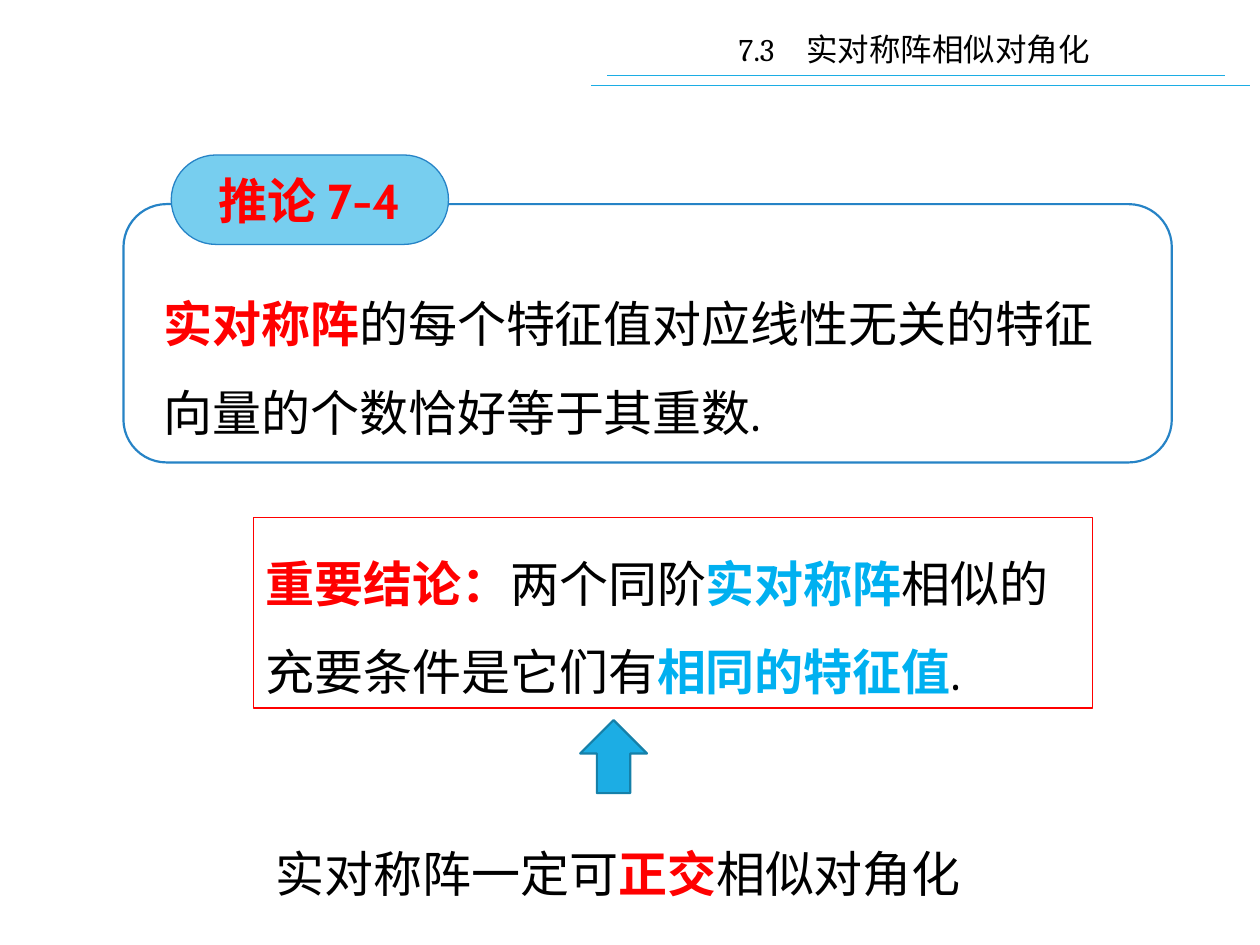
from lxml import etree
from pptx import Presentation
from pptx.dml.color import RGBColor
from pptx.enum.shapes import MSO_CONNECTOR, MSO_SHAPE
from pptx.enum.text import MSO_ANCHOR, MSO_AUTO_SIZE, PP_ALIGN
from pptx.oxml.ns import qn
from pptx.util import Inches, Pt

STRAIGHT = MSO_CONNECTOR.STRAIGHT
RECTANGLE = MSO_SHAPE.RECTANGLE
ROUNDED = MSO_SHAPE.ROUNDED_RECTANGLE
TERMINATOR = MSO_SHAPE.FLOWCHART_TERMINATOR
ARROW = MSO_SHAPE.RIGHT_ARROW
CENTER, LEFT = PP_ALIGN.CENTER, PP_ALIGN.LEFT
MIDDLE = MSO_ANCHOR.MIDDLE
GROW = MSO_AUTO_SIZE.SHAPE_TO_FIT_TEXT

COLORS = {
    "text": "000000",
    "red": "FF0000",
    "highlight": "00B0F0",
    "panel": "FFFFFF",
    "frame": "2683C6",
    "label": "77CEEF",
    "accent": "1CADE4",
    "arrow_edge": "1580A9",
}
SERIF, SANS, LABEL_FONT = "Cambria", "Noto Sans CJK SC", "Cabin"

# The page is a grid of 100 columns by 75 rows.
CELL = Inches(0.1)


def cells(*counts):
    return [round(count * CELL) for count in counts]


def color(name):
    return RGBColor.from_string(COLORS[name])


def add_figure(page, kind, place, line, width, fill=None):
    figure = page.shapes.add_shape(kind, *cells(*place))
    figure.shadow.inherit = False
    if fill:
        figure.fill.solid()
        figure.fill.fore_color.rgb = color(fill)
    else:
        figure.fill.background()
    figure.line.color.rgb = color(line)
    figure.line.width = Pt(width)
    return figure


def add_rule(page, left, right, row):
    rule = page.shapes.add_connector(STRAIGHT, *cells(left, row, right, row))
    rule.line.color.rgb = color("accent")
    rule.line.width = Pt(0.75)
    etree.SubElement(rule._element.spPr, qn("a:effectLst"))


def write(box, spans, size=28, align=LEFT, spacing=1.5):
    """Fill the box with one paragraph; a span is (text, color, bold, font)."""
    box.text_frame.word_wrap = True
    para = box.text_frame.paragraphs[0]
    para.alignment = align
    para.line_spacing = spacing
    for text, shade, bold, font in spans:
        span = para.add_run()
        span.text = text
        span.font.size = Pt(size)
        span.font.bold = bold
        span.font.name = font
        span.font.color.rgb = color(shade)
        east_asian = etree.SubElement(span.font._element, qn("a:ea"))
        east_asian.set("typeface", SANS)


def write_growing(box, spans, **style):
    write(box, spans, **style)
    box.text_frame.vertical_anchor = MSO_ANCHOR.TOP
    box.text_frame.auto_size = GROW


def add_text(page, place, spans, **style):
    write_growing(page.shapes.add_textbox(*cells(*place)), spans, **style)


def add_corollary(page):
    add_figure(page, ROUNDED, (9.8, 16.2, 83.2, 20.5), "frame", 1.25, "panel")
    label = add_figure(page, TERMINATOR, (13.6, 12.3, 22, 7.1), "frame", 0.75, "label")
    write(label, [("推论 7-4", "red", True, LABEL_FONT)], align=CENTER, spacing=1)
    label.text_frame.vertical_anchor = MIDDLE
    add_text(page, (12, 20.5, 78.8, 15.1), [
        ("实对称阵", "red", True, SANS),
        ("的每个特征值对应线性无关的特征向量的个数恰好等于其重数.", "text", False, SERIF),
    ])


def add_conclusion(page):
    box = add_figure(page, RECTANGLE, (20.1, 41.1, 66.6, 15.1), "red", 0.75)
    write_growing(box, [
        ("重要结论：", "red", True, SERIF),
        ("两个同阶", "text", False, SERIF),
        ("实对称阵", "highlight", True, SERIF),
        ("相似的充要条件是它们有", "text", False, SERIF),
        ("相同的特征值", "highlight", True, SERIF),
        (".", "text", False, SERIF),
    ])


def add_header(page):
    add_text(page, (50, 1.9, 45.1, 4), [("7.3　实对称阵相似对角化", "text", False, SERIF)],
             size=18, align=CENTER, spacing=1)
    add_rule(page, 48.2, 97.2, 6)
    add_rule(page, 46.9, 99.2, 6.8)


def add_reason(page):
    add_text(page, (20.9, 64.1, 61.1, 8.1), [
        ("实对称阵一定可", "text", False, SERIF),
        ("正交", "red", True, SANS),
        ("相似对角化", "text", False, SERIF),
    ])
    arrow = add_figure(page, ARROW, (45.8, 57.4, 5.8, 5.3), "arrow_edge", 1.25, "accent")
    arrow.rotation = 270


def main():
    deck = Presentation()
    deck.slide_width, deck.slide_height = cells(100, 75)
    page = deck.slides.add_slide(deck.slide_layouts[6])
    add_corollary(page)
    add_conclusion(page)
    add_header(page)
    add_reason(page)
    deck.save("out.pptx")


if __name__ == "__main__":
    main()
